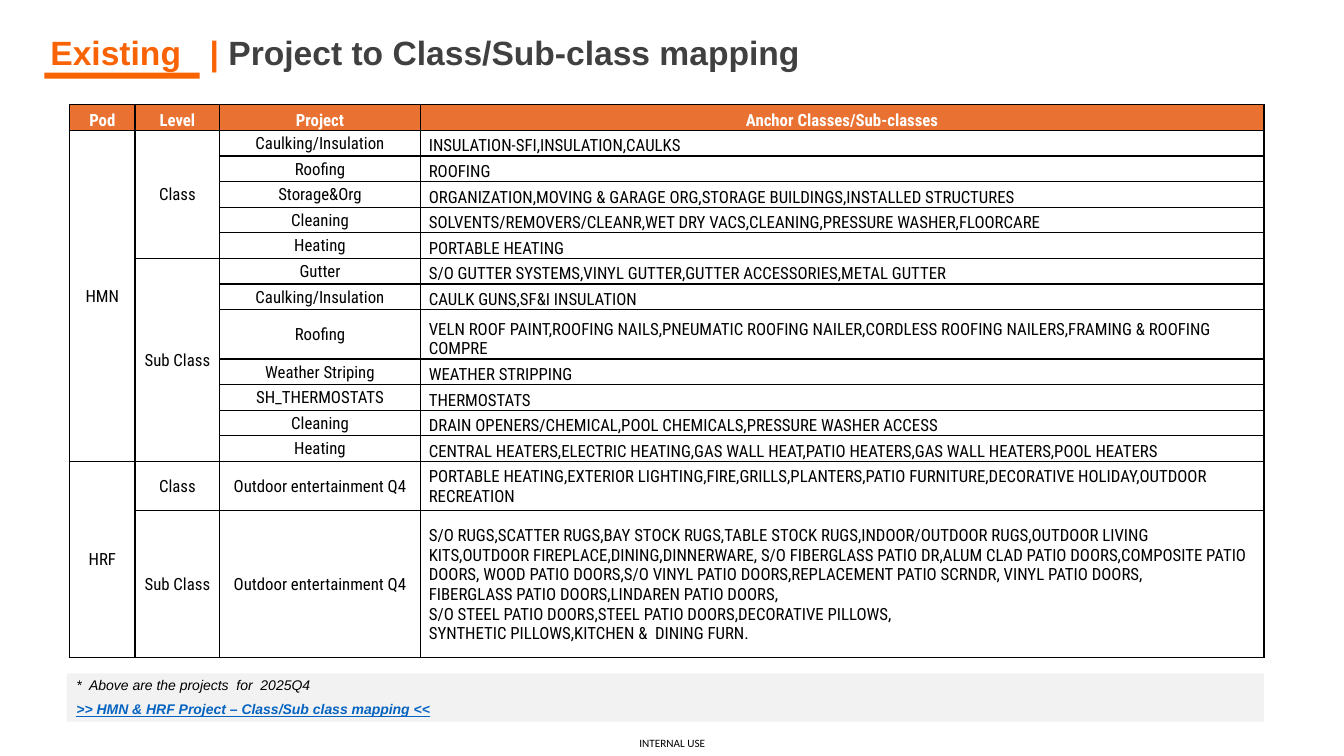
from lxml import etree
from pptx import Presentation
from pptx import util as u
from pptx.dml.color import RGBColor
from pptx.enum import shapes, text
from pptx.oxml.ns import qn

COLOURS = {"orange": "F96302", "title_orange": "F96303", "header": "E97132",
           "grey": "404040", "panel": "F2F2F2", "link": "0563C1",
           "black": "000000", "white": "FFFFFF"}
CENTRE, LEFT = text.PP_ALIGN.CENTER, text.PP_ALIGN.LEFT
TOP, MIDDLE, BOTTOM = (text.MSO_ANCHOR.TOP, text.MSO_ANCHOR.MIDDLE,
                       text.MSO_ANCHOR.BOTTOM)
CELL = 0.1  # inches per grid column and per grid row

HEADINGS = ["Pod", "Level", "Project", "Anchor Classes/Sub-classes"]
# pod -> level -> (project, anchor classes)
MAPPING = {
    "HMN": {
        "Class": [
            ("Caulking/Insulation", "INSULATION-SFI,INSULATION,CAULKS"),
            ("Roofing", "ROOFING"),
            ("Storage&Org", "ORGANIZATION,MOVING & GARAGE ORG,STORAGE BUILDINGS,INSTALLED STRUCTURES"),
            ("Cleaning", "SOLVENTS/REMOVERS/CLEANR,WET DRY VACS,CLEANING,PRESSURE WASHER,FLOORCARE"),
            ("Heating", "PORTABLE HEATING"),
        ],
        "Sub Class": [
            ("Gutter", "S/O GUTTER SYSTEMS,VINYL GUTTER,GUTTER ACCESSORIES,METAL GUTTER"),
            ("Caulking/Insulation", "CAULK GUNS,SF&I INSULATION"),
            ("Roofing", "VELN ROOF PAINT,ROOFING NAILS,PNEUMATIC ROOFING NAILER,"
                        "CORDLESS ROOFING NAILERS,FRAMING & ROOFING\nCOMPRE"),
            ("Weather Striping", "WEATHER STRIPPING"),
            ("SH_THERMOSTATS", "THERMOSTATS"),
            ("Cleaning", "DRAIN OPENERS/CHEMICAL,POOL CHEMICALS,PRESSURE WASHER ACCESS"),
            ("Heating", "CENTRAL HEATERS,ELECTRIC HEATING,GAS WALL HEAT,PATIO HEATERS,"
                        "GAS WALL HEATERS,POOL HEATERS"),
        ],
    },
    "HRF": {
        "Class": [
            ("Outdoor entertainment Q4",
             "PORTABLE HEATING,EXTERIOR LIGHTING,FIRE,GRILLS,PLANTERS,PATIO FURNITURE,"
             "DECORATIVE HOLIDAY,OUTDOOR\nRECREATION"),
        ],
        "Sub Class": [
            ("Outdoor entertainment Q4",
             "S/O RUGS,SCATTER RUGS,BAY STOCK RUGS,TABLE STOCK RUGS,INDOOR/OUTDOOR RUGS,OUTDOOR LIVING\n"
             "KITS,OUTDOOR FIREPLACE,DINING,DINNERWARE, S/O FIBERGLASS PATIO DR,"
             "ALUM CLAD PATIO DOORS,COMPOSITE PATIO\n"
             "DOORS, WOOD PATIO DOORS,S/O VINYL PATIO DOORS,REPLACEMENT PATIO SCRNDR, VINYL PATIO DOORS,\n"
             "FIBERGLASS PATIO DOORS,LINDAREN PATIO DOORS,\n"
             "S/O STEEL PATIO DOORS,STEEL PATIO DOORS,DECORATIVE PILLOWS,\n"
             "SYNTHETIC PILLOWS,KITCHEN &  DINING FURN."),
        ],
    },
}


def grid(cells):
    return u.Inches(cells * CELL)


def rgb(name):
    return RGBColor.from_string(COLOURS[name])


def write(frame, lines, size=12, font="Arial", colour="black", bold=False,
          italic=False, underline=False, align=LEFT, spacing=None):
    """Fill a frame; a line is a string or a list of (text, colour) runs."""
    for number, line in enumerate(lines):
        paragraph = frame.add_paragraph() if number else frame.paragraphs[0]
        paragraph.alignment = align
        paragraph.space_before = u.Pt(0)
        if spacing:
            paragraph.line_spacing = spacing
        for words, tint in [(line, colour)] if isinstance(line, str) else line:
            run = paragraph.add_run()
            run.text = words
            run.font.name, run.font.size = font, u.Pt(size)
            run.font.bold, run.font.italic = bold, italic
            run.font.underline = underline
            run.font.color.rgb = rgb(tint)


class MappingSlide:
    table_font = "Roboto Condensed"
    row, tall_row, last_row = 2.54, 4.9, 14.6  # row heights for 1, 2, 6 lines

    def __init__(self, deck):
        self.slide = deck.slides.add_slide(deck.slide_layouts[5])

    def title(self, x, y, w, h, runs, tab):
        heading = self.slide.shapes.title
        heading.left, heading.top, heading.width, heading.height = map(grid, (x, y, w, h))
        frame = heading.text_frame
        frame.vertical_anchor, frame.auto_size = MIDDLE, text.MSO_AUTO_SIZE.NONE
        write(frame, [runs], size=24, bold=True, spacing=0.9)
        tabs = etree.SubElement(frame.paragraphs[0]._p.get_or_add_pPr(), qn("a:tabLst"))
        etree.SubElement(tabs, qn("a:tab"), pos=str(grid(tab)), algn="l")

    def panel(self, x, y, w, h, fill):
        block = self.slide.shapes.add_shape(shapes.MSO_SHAPE.RECTANGLE, *map(grid, (x, y, w, h)))
        block.shadow.inherit = False
        block.fill.solid()
        block.fill.fore_color.rgb = rgb(fill)
        block.line.fill.background()
        block.text_frame.word_wrap = True
        block.text_frame.vertical_anchor = TOP
        return block.text_frame

    def label(self, x, y, w, h, words, inset=None, **style):
        frame = self.slide.shapes.add_textbox(*map(grid, (x, y, w, h))).text_frame
        frame.word_wrap, frame.vertical_anchor = True, MIDDLE
        if inset is not None:
            frame.margin_left = frame.margin_right = grid(inset)
            frame.margin_top = frame.margin_bottom = grid(inset)
        write(frame, [words], **style)

    def cell(self, cell, words="", indent=0.1, anchor=MIDDLE, fill=None, **style):
        cell.margin_left, cell.margin_right = grid(indent), grid(0.1)
        cell.margin_top, cell.margin_bottom = grid(0.1), 0
        cell.vertical_anchor = anchor
        if fill:
            cell.fill.solid()
            cell.fill.fore_color.rgb = rgb(fill)
        else:
            cell.fill.background()
        # Borders come before the fill in the cell properties
        for place, side in enumerate(("lnL", "lnR", "lnT", "lnB")):
            border = etree.Element(qn("a:" + side), w=str(u.Pt(1)))
            solid = etree.SubElement(border, qn("a:solidFill"))
            etree.SubElement(solid, qn("a:srgbClr"), val=COLOURS["black"])
            cell._tc.get_or_add_tcPr().insert(place, border)
        if words:
            write(cell.text_frame, words.split("\n"), font=self.table_font, **style)

    def mapping_table(self, x, y, widths):
        # One row per project; pod and level show on the first row of their group
        rows, merges = [], []
        for pod, levels in MAPPING.items():
            pod_start = len(rows) + 1
            for level, projects in levels.items():
                level_start = len(rows) + 1
                for project, anchors in projects:
                    here = len(rows) + 1
                    rows.append((pod if here == pod_start else "",
                                 level if here == level_start else "", project, anchors))
                merges.append((level_start, len(rows), 1))
            merges.append((pod_start, len(rows), 0))

        heights = [self.row]
        for *_, anchors in rows:
            count = anchors.count("\n") + 1
            heights.append({1: self.row, 2: self.tall_row}.get(count, self.last_row))
        table = self.slide.shapes.add_table(
            len(heights), len(widths), *map(grid, (x, y, sum(widths), sum(heights)))).table
        table.first_row = table.horz_banding = False
        for column, width in zip(table.columns, widths):
            column.width = grid(width)
        for line, height in zip(table.rows, heights):
            line.height = grid(height)

        for col, heading in enumerate(HEADINGS):
            self.cell(table.cell(0, col), heading, anchor=BOTTOM, fill="header",
                      colour="white", bold=True, align=CENTRE)
        for number, (*groups, anchors) in enumerate(rows, 1):
            for col, words in enumerate(groups):
                self.cell(table.cell(number, col), words, align=CENTRE)
            in_first_pod = number <= sum(map(len, MAPPING["HMN"].values()))
            self.cell(table.cell(number, 3), anchors, indent=0.85,
                      anchor=BOTTOM if in_first_pod else MIDDLE)
        for first, last, col in merges:
            if last > first:
                table.cell(first, col).merge(table.cell(last, col))


def main():
    deck = Presentation()
    deck.slide_width, deck.slide_height = grid(133.33), grid(75)
    page = MappingSlide(deck)

    # Classification footer and title with its underline
    page.label(62.1, 72.5, 9.2, 2.5, "INTERNAL USE", inset=0, size=8,
               font="Calibri", align=CENTRE)
    page.panel(4.4, 7.2, 15.4, 0.6, "orange")
    page.title(4, 3, 124.6, 4.8, [("Existing\t| ", "title_orange"),
                                  ("Project to Class/Sub-class mapping", "grey")], tab=15.8)

    # Footnote panel
    note = page.panel(6.6, 66.8, 118.8, 4.8, "panel")
    write(note, ["*  Above are the projects  for  2025Q4"], size=10, italic=True, spacing=0.9)

    # Project mapping
    page.mapping_table(6.9, 10.4, [6.5, 8.4, 19.9, 83.7])

    # Reference line on the footnote panel
    page.label(6.6, 69, 51.2, 2.7, ">> HMN & HRF Project – Class/Sub class mapping <<",
               size=10, colour="link", bold=True, italic=True, underline=True)
    deck.save("out.pptx")


if __name__ == "__main__":
    main()
